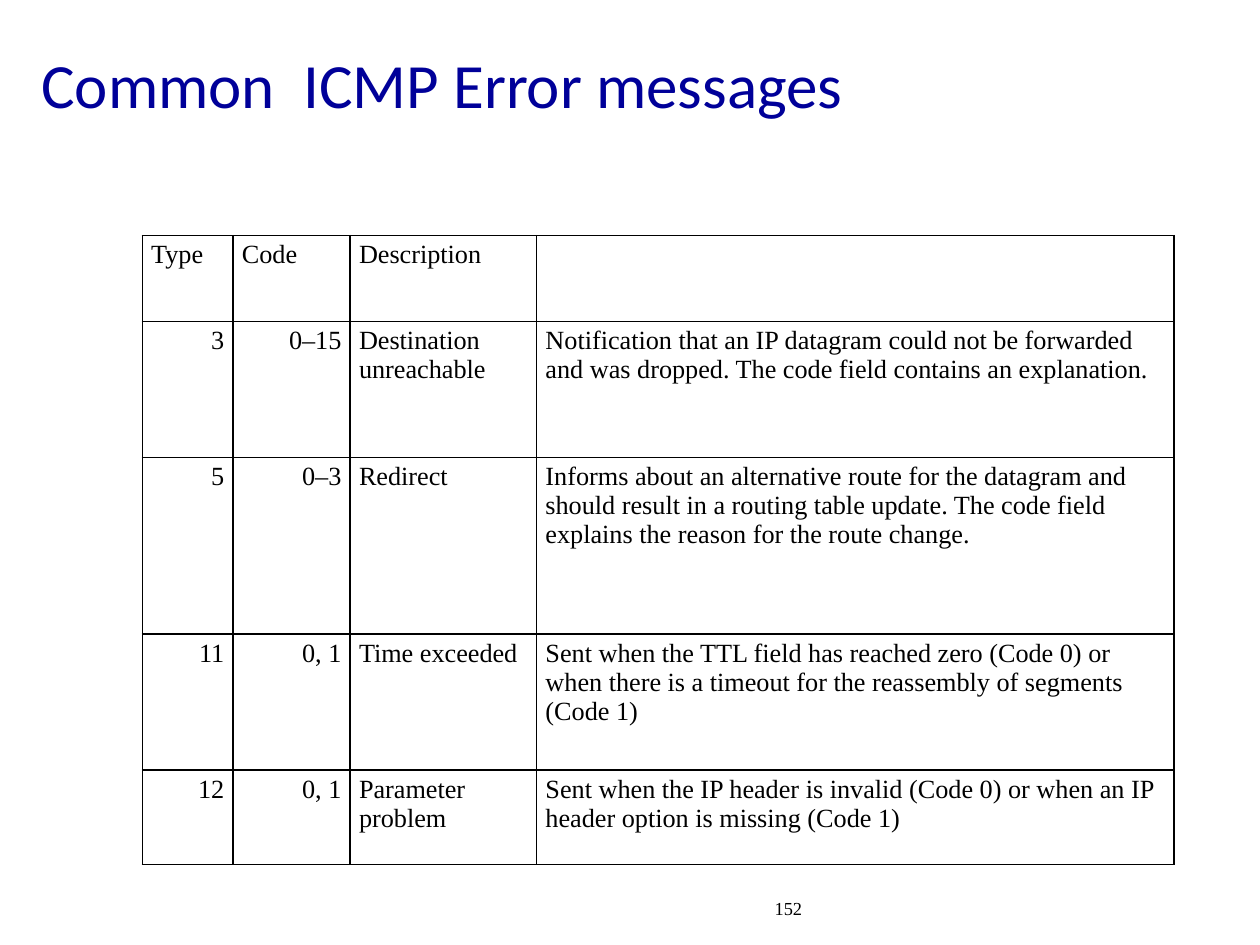
import pptx
import pptx.dml.color
import pptx.enum.text
import pptx.util
from lxml import etree
from pptx.oxml.ns import qn

ALIGN = pptx.enum.text.PP_ALIGN
ANCHOR = pptx.enum.text.MSO_ANCHOR
inch = pptx.util.Inches

# Content
TITLE = "Common  ICMP Error messages"
PAGE_NUMBER = "152"
HEADER = ("Type", "Code", "Description", "")
MESSAGES = [
    ("3", "0–15", "Destination unreachable",
     "Notification that an IP datagram could not be forwarded and was dropped. "
     "The code field contains an explanation."),
    ("5", "0–3", "Redirect",
     "Informs about an alternative route for the datagram and should result in a "
     "routing table update. The code field explains the reason for the route change."),
    ("11", "0, 1", "Time exceeded",
     "Sent when the TTL field has reached zero (Code 0) or when there is a timeout "
     "for the reassembly of segments (Code 1)"),
    ("12", "0, 1", "Parameter\vproblem",
     "Sent when the IP header is invalid (Code 0) or when an IP header option is "
     "missing (Code 1)"),
]

# Grid, in inches
COLUMNS = (0.72, 0.93, 1.48, 5.06)
ROWS = (0.68, 1.08, 1.4, 1.08, 0.75)
TABLE_LEFT, TABLE_TOP = 1.13, 1.87
BODY_ALIGN = (ALIGN.RIGHT, ALIGN.RIGHT, ALIGN.LEFT, ALIGN.LEFT)


def color(value):
    return pptx.dml.color.RGBColor.from_string(value)


def write(tf, text, size=15, font="Times New Roman", fill="000000", align=ALIGN.LEFT):
    tf.word_wrap = True
    p = tf.paragraphs[0]
    p.text = text
    p.alignment = align
    p.font.size = pptx.util.Pt(size)
    p.font.name = font
    p.font.color.rgb = color(fill)
    for r in p.runs:
        r.font.size = pptx.util.Pt(size)
        r.font.name = font
        r.font.color.rgb = color(fill)


def add_text(s, text, box, anchor=ANCHOR.TOP, **style):
    tf = s.shapes.add_textbox(*map(inch, box)).text_frame
    tf.vertical_anchor = anchor
    write(tf, text, **style)


def set_borders(cell, value="000000", width=1):
    props = cell._tc.get_or_add_tcPr()
    for i, side in enumerate(("lnL", "lnR", "lnT", "lnB")):
        line = etree.Element(qn("a:" + side), w=str(pptx.util.Pt(width)))
        fill = etree.SubElement(line, qn("a:solidFill"))
        etree.SubElement(fill, qn("a:srgbClr"), val=value)
        props.insert(i, line)


prs = pptx.Presentation()
prs.slide_width, prs.slide_height = inch(10), inch(7.5)
s = prs.slides.add_slide(prs.slide_layouts[6])

# Page number and title
add_text(s, PAGE_NUMBER, (6.05, 7.07, 3.17, 0.31), size=10.5)
add_text(s, TITLE, (0.23, 0.36, 7.31, 0.61), anchor=ANCHOR.MIDDLE,
         size=36, font="Calibri", fill="000099")

# Message table
table = s.shapes.add_table(
    len(ROWS), len(COLUMNS), inch(TABLE_LEFT), inch(TABLE_TOP),
    inch(sum(COLUMNS)), inch(sum(ROWS))).table
table.first_row = table.horz_banding = False
for column, width in zip(table.columns, COLUMNS):
    column.width = inch(width)
for row, height in zip(table.rows, ROWS):
    row.height = inch(height)

for i, texts in enumerate([HEADER] + MESSAGES):
    for j, text in enumerate(texts):
        cell = table.cell(i, j)
        cell.fill.background()
        cell.margin_left = cell.margin_right = inch(0.07)
        cell.margin_top = cell.margin_bottom = inch(0.04)
        set_borders(cell)
        write(cell.text_frame, text, align=BODY_ALIGN[j] if i else ALIGN.JUSTIFY)

prs.save("out.pptx")
